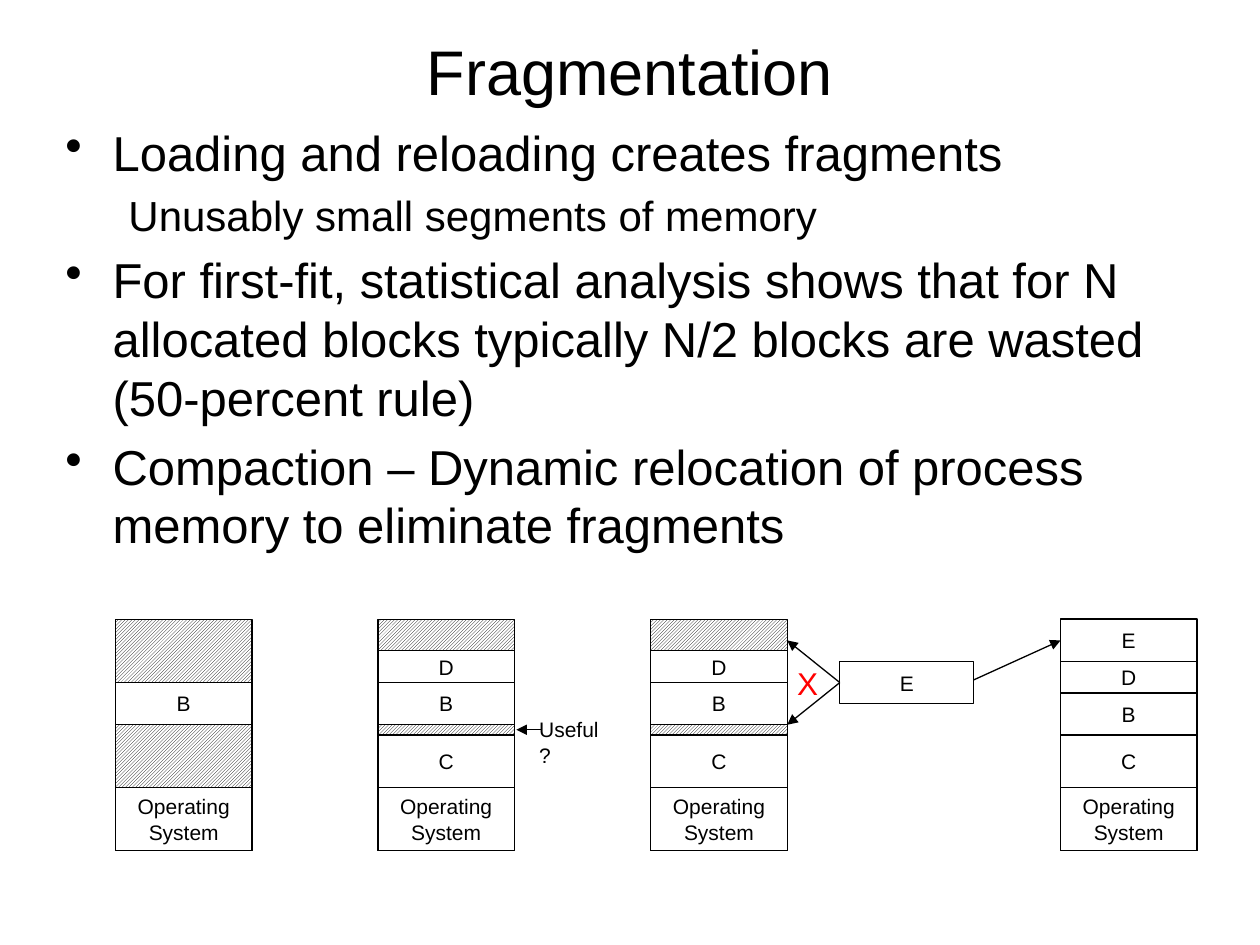
import pptx
import pptx.util
import pptx.dml.color
import pptx.enum.dml
import pptx.enum.shapes
import pptx.enum.text
import pptx.oxml.ns
import lxml.etree

Cm = pptx.util.Cm
Pt = pptx.util.Pt
ALIGN = pptx.enum.text.PP_ALIGN
ANCHOR = pptx.enum.text.MSO_ANCHOR
BLACK = pptx.dml.color.RGBColor(0, 0, 0)
WHITE = pptx.dml.color.RGBColor(255, 255, 255)
RED = pptx.dml.color.RGBColor(255, 0, 0)


def apply_format(target, values):
    for name, value in values.items():
        setattr(target, name, value)


def add_xml(parent, tag, **attributes):
    return lxml.etree.SubElement(parent, pptx.oxml.ns.qn(tag), attributes)


class Board:
    font = "Arial"
    line_width = Pt(0.75)

    def __init__(self, slide):
        self.slide = slide

    def words(self, paragraph, wording, size, color=BLACK, **layout):
        apply_format(paragraph, layout)
        run = paragraph.add_run()
        run.text = wording
        apply_format(run.font, {"name": self.font, "size": Pt(size)})
        run.font.color.rgb = color

    def text(self, left, top, width, height, wording, size, color=BLACK,
             align=ALIGN.LEFT, **frame_format):
        frame = self.slide.shapes.add_textbox(
            Cm(left), Cm(top), Cm(width), Cm(height)).text_frame
        apply_format(frame, frame_format)
        self.words(frame.paragraphs[0], wording, size, color, alignment=align)

    def bullets(self, left, top, width, height, items):
        body = self.slide.shapes.add_textbox(
            Cm(left), Cm(top), Cm(width), Cm(height))
        frame = body.text_frame
        frame.word_wrap = True
        for index, (level, wording) in enumerate(items):
            paragraph = frame.add_paragraph() if index else frame.paragraphs[0]
            size, margin, indent = ((28, 0.95, -0.95), (24, 2.06, -0.79))[level]
            self.words(paragraph, wording, size, level=level,
                       space_before=Pt(size * 0.2))
            properties = body.element.txBody.p_lst[index].get_or_add_pPr()
            properties.set("marL", str(Cm(margin)))
            properties.set("indent", str(Cm(indent)))
            if level:
                add_xml(properties, "a:buNone")
            else:
                add_xml(properties, "a:buChar", char="•")

    def block(self, left, top, width, height, label="", hatched=False):
        box = self.slide.shapes.add_shape(
            pptx.enum.shapes.MSO_SHAPE.RECTANGLE,
            Cm(left), Cm(top), Cm(width), Cm(height))
        box.shadow.inherit = False
        if hatched:
            box.fill.patterned()
            box.fill.pattern = pptx.enum.dml.MSO_PATTERN.DARK_UPWARD_DIAGONAL
            box.fill.fore_color.rgb = BLACK
            box.fill.back_color.rgb = WHITE
        else:
            box.fill.solid()
            box.fill.fore_color.rgb = WHITE
        box.line.color.rgb = BLACK
        box.line.width = self.line_width
        if label:
            frame = box.text_frame
            apply_format(frame, {
                "margin_top": 0, "margin_bottom": 0,
                "word_wrap": True, "vertical_anchor": ANCHOR.MIDDLE})
            for index, wording in enumerate(label.split("\n")):
                paragraph = frame.add_paragraph() if index else frame.paragraphs[0]
                self.words(paragraph, wording, 12, alignment=ALIGN.CENTER)

    def memory(self, left, bottom, width, height, segments):
        self.block(left, bottom - height, width, height, hatched=True)
        top = bottom
        for label, size in segments:
            top -= size
            if label:
                self.block(left, top, width, size, label)

    def arrow(self, start, end):
        arrow = self.slide.shapes.add_connector(
            pptx.enum.shapes.MSO_CONNECTOR.STRAIGHT,
            *(Cm(value) for value in start + end))
        arrow.line.color.rgb = BLACK
        arrow.line.width = self.line_width
        properties = arrow.element.spPr
        add_xml(properties.find(pptx.oxml.ns.qn("a:ln")), "a:tailEnd",
                type="triangle")
        add_xml(properties, "a:effectLst")


deck = pptx.Presentation()
apply_format(deck, {"slide_width": Cm(25.4), "slide_height": Cm(19.05)})
board = Board(deck.slides.add_slide(deck.slide_layouts[6]))

board.text(1.27, 0.43, 22.86, 1.98, "Fragmentation", 36, align=ALIGN.CENTER,
           word_wrap=True, vertical_anchor=ANCHOR.MIDDLE)
board.bullets(1.07, 2.34, 22.86, 12.57, [
    (0, "Loading and reloading creates fragments"),
    (1, "Unusably small segments of memory"),
    (0, "For first-fit, statistical analysis shows that for N allocated "
        "blocks typically N/2 blocks are wasted (50-percent rule)"),
    (0, "Compaction – Dynamic relocation of process memory to eliminate "
        "fragments"),
])

system = ("Operating\nSystem", 1.27)
b, c, d, e = ("B", 0.85), ("C", 1.06), ("D", 0.64), ("E", 0.85)
fragment = (None, 0.21)
freed = (None, c[1] + fragment[1])
fragmented = [system, c, fragment, b, d]
memories = {
    2.33: [system, freed, b],
    7.62: fragmented,
    13.12: fragmented,
    21.38: [system, c, b, d, e],
}
for left, segments in memories.items():
    board.memory(left, 17.15, 2.75, 4.66, segments)

board.block(16.93, 13.34, 2.7, 0.85, "E")
board.text(10.62, 14.33, 1.93, 0.76, "Useful?", 12, word_wrap=False)
board.text(15.82, 13.26, 0.94, 1.02, "X", 18, RED, word_wrap=False)

for start, end in [
    ((10.9, 14.71), (10.41, 14.71)),
    ((16.93, 13.76), (15.87, 12.91)),
    ((16.93, 13.76), (15.87, 14.61)),
    ((19.62, 13.71), (21.38, 12.91)),
]:
    board.arrow(start, end)

deck.save("out.pptx")
